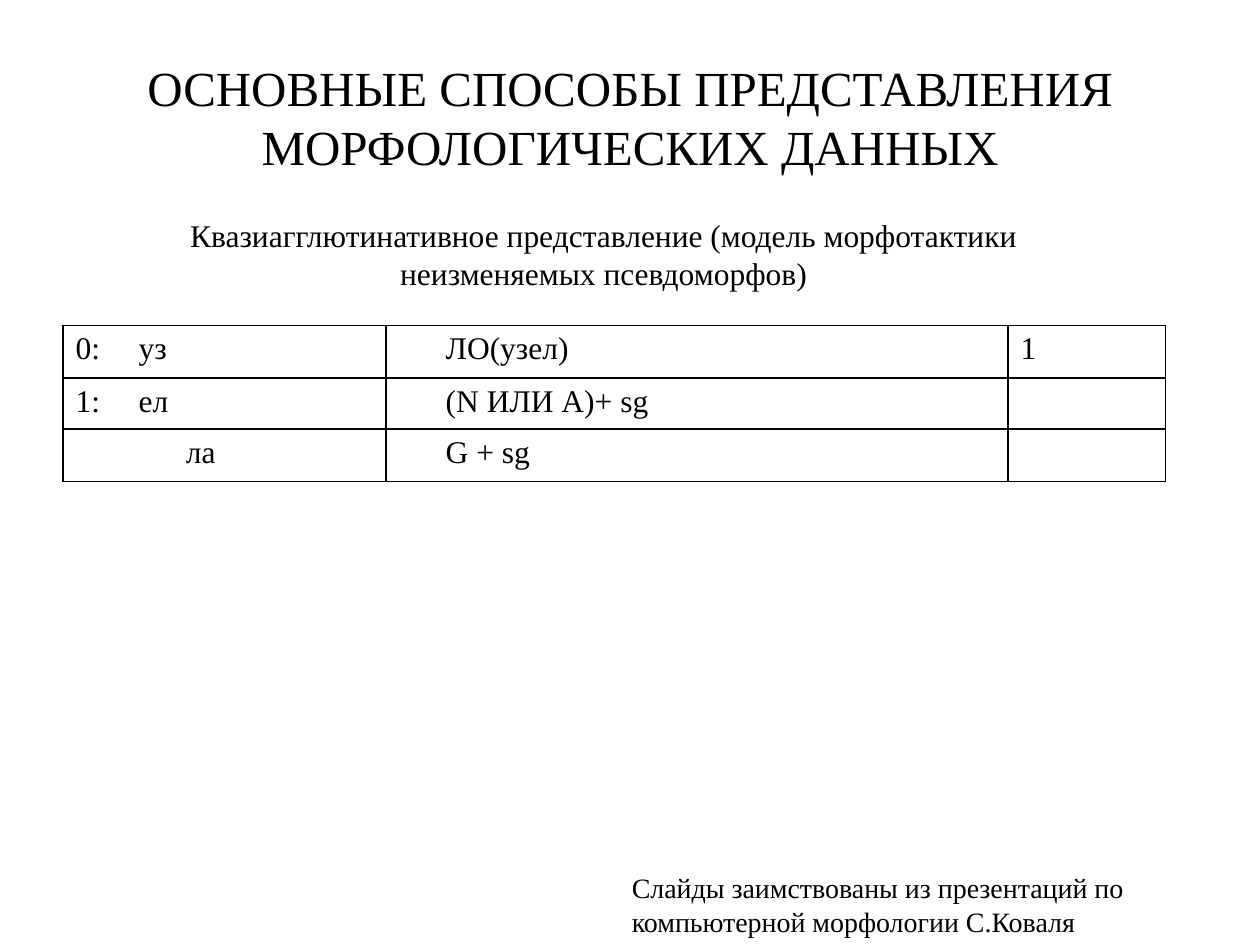
from pptx import Presentation
from pptx.dml.color import RGBColor
from pptx.enum.text import MSO_ANCHOR, PP_ALIGN
from pptx.oxml.ns import qn
from pptx.util import Pt
from lxml.etree import SubElement

BLACK = RGBColor(0, 0, 0)
FACE = "Times New Roman"
TAB = 54
HANG = 27
EDGES = ("a:lnL", "a:lnR", "a:lnT", "a:lnB")
COLS = (184.5, 355.5, 90)
ROWS = (30, 29, 30)
CELLS = (
    (("0:\tуз", 0), ("\tЛО(узел)", HANG), ("1", HANG)),
    (("1:\tел", 0), ("\t(N ИЛИ A)+ sg", HANG), ("", 0)),
    (("\t\tла", HANG), ("\tG + sg", HANG), ("", 0)),
)


class Deck:
    def __init__(self, wide, high):
        self.show = Presentation()
        self.show.slide_width = Pt(wide)
        self.show.slide_height = Pt(high)
        self.slide = self.show.slides.add_slide(self.show.slide_layouts[5])

    def put(self, frame, text, size, align=PP_ALIGN.LEFT):
        para = frame.paragraphs[0]
        para.alignment = align
        run = para.add_run()
        run.text = text
        style = {"name": FACE, "size": Pt(size), "bold": False}
        for key, value in style.items():
            setattr(run.font, key, value)
        run.font.color.rgb = BLACK
        return para

    def title(self, box, text, size):
        shape = self.slide.shapes.title
        for key, value in zip(("left", "top", "width", "height"), box):
            setattr(shape, key, Pt(value))
        shape.text_frame.vertical_anchor = MSO_ANCHOR.MIDDLE
        self.put(shape.text_frame, text, size, PP_ALIGN.CENTER)

    def label(self, box, text, size, align=PP_ALIGN.LEFT):
        frame = self.slide.shapes.add_textbox(*map(Pt, box)).text_frame
        frame.word_wrap = True
        self.put(frame, text, size, align)

    def border(self, cell):
        props = cell._tc.get_or_add_tcPr()
        for edge in EDGES:
            line = SubElement(props, qn(edge), w=str(Pt(1)))
            fill = SubElement(line, qn("a:solidFill"))
            SubElement(fill, qn("a:srgbClr"), val=str(BLACK))

    def indent(self, para, hang):
        props = para._p.get_or_add_pPr()
        props.set("marL", str(Pt(hang)))
        props.set("indent", str(Pt(-hang)))
        tabs = SubElement(props, qn("a:tabLst"))
        SubElement(tabs, qn("a:tab"), pos=str(Pt(TAB)), algn="l")

    def table(self, left, top, cols, rows, cells, size):
        box = map(Pt, (left, top, sum(cols), sum(rows)))
        grid = self.slide.shapes.add_table(len(rows), len(cols), *box).table
        for key in ("first_row", "horz_banding"):
            setattr(grid, key, False)
        for col, wide in zip(grid.columns, cols):
            col.width = Pt(wide)
        for row, high, line in zip(grid.rows, rows, cells):
            row.height = Pt(high)
            for cell, (text, hang) in zip(row.cells, line):
                self.border(cell)
                cell.fill.background()
                if text:
                    para = self.put(cell.text_frame, text, size)
                    self.indent(para, hang)


def main():
    deck = Deck(720, 540)
    deck.title((36, 21.6, 648, 90),
               "ОСНОВНЫЕ СПОСОБЫ ПРЕДСТАВЛЕНИЯ МОРФОЛОГИЧЕСКИХ ДАННЫХ", 28)
    deck.table(36, 186, COLS, ROWS, CELLS, 18)
    deck.label((90, 120, 510, 50.4),
               "Квазиагглютинативное представление (модель морфотактики "
               "неизменяемых псевдоморфов)", 18, PP_ALIGN.CENTER)
    deck.label((354, 494, 360, 46),
               "Слайды заимствованы из презентаций по компьютерной "
               "морфологии С.Коваля", 16)
    deck.show.save("out.pptx")


if __name__ == "__main__":
    main()
